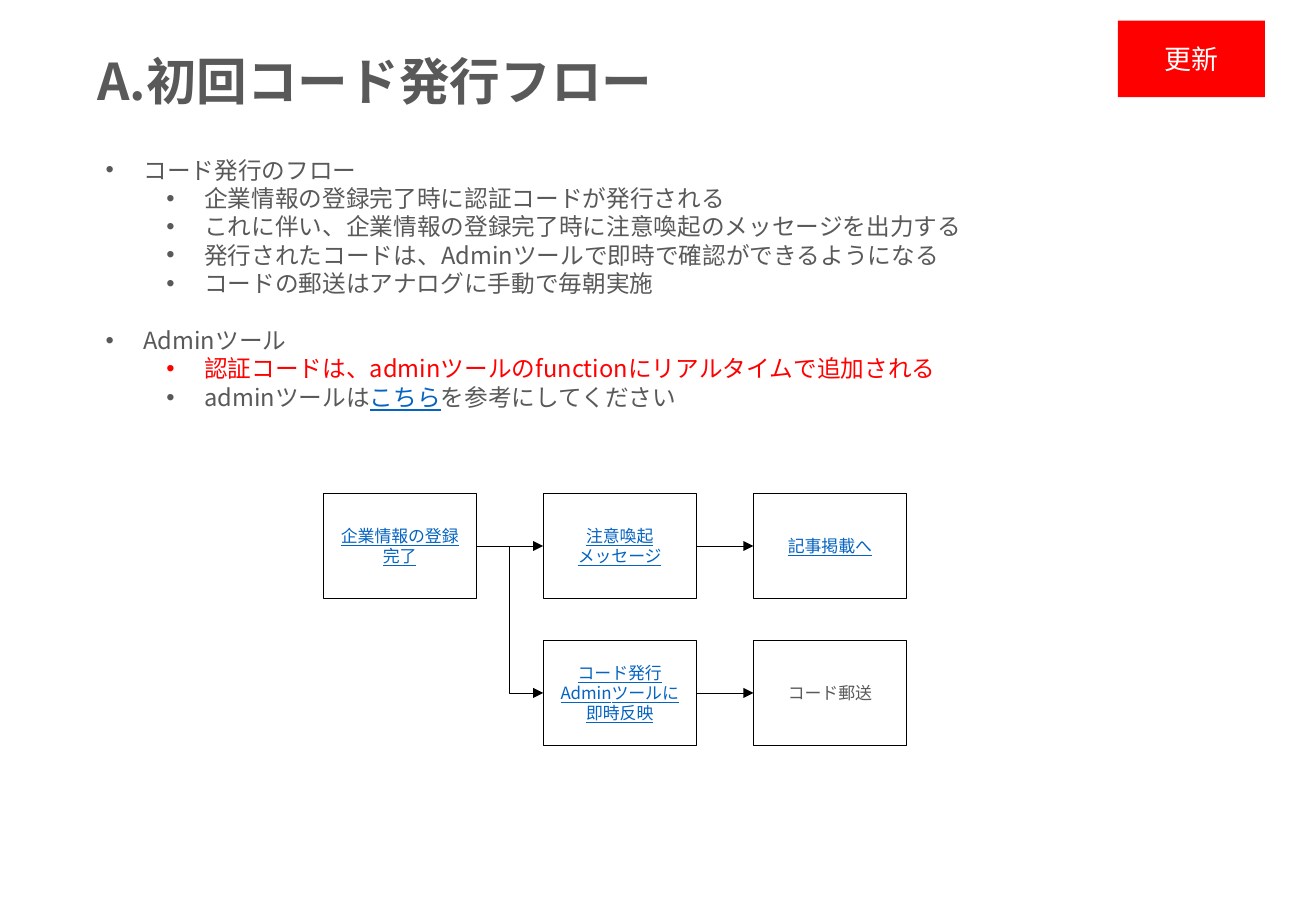
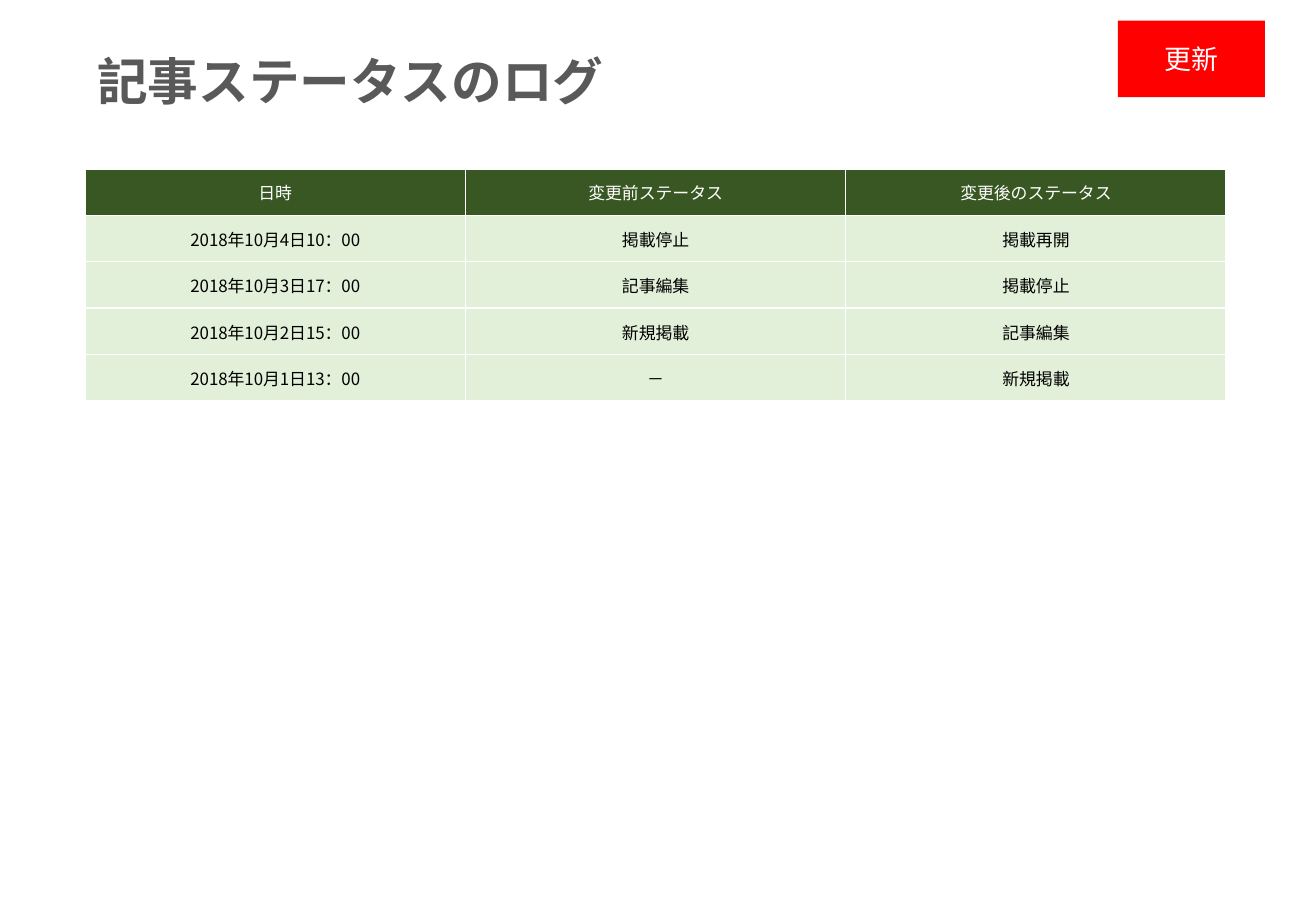
from lxml import etree
from pptx import Presentation
from pptx.dml.color import RGBColor
from pptx.enum.shapes import MSO_CONNECTOR, MSO_SHAPE
from pptx.enum.text import MSO_ANCHOR, MSO_AUTO_SIZE, PP_ALIGN
from pptx.oxml.ns import qn
from pptx.util import Inches, Pt

RECTANGLE = MSO_SHAPE.RECTANGLE
STRAIGHT, ELBOW = MSO_CONNECTOR.STRAIGHT, MSO_CONNECTOR.ELBOW
TOP, MIDDLE = MSO_ANCHOR.TOP, MSO_ANCHOR.MIDDLE
LEFT, CENTER = PP_ALIGN.LEFT, PP_ALIGN.CENTER
LEFT_SITE, RIGHT_SITE = 1, 3

FONT = "Noto Sans CJK JP"
COLORS = {
    "text": "595959", "link": "0563C1", "alert": "FF0000", "line": "000000",
    "white": "FFFFFF", "header": "385723", "row": "E2F0D9", "cell": "000000",
}

# Content
FLOW_TITLE = "A.初回コード発行フロー"
LOG_TITLE = "記事ステータスのログ"
BADGE = "更新"
# Each heading has its sub-items; a sub-item is a list of (text, colour) runs
BULLETS = [
    ("コード発行のフロー", [
        [("企業情報の登録完了時に認証コードが発行される", "text")],
        [("これに伴い、企業情報の登録完了時に注意喚起のメッセージを出力する", "text")],
        [("発行されたコードは、Adminツールで即時で確認ができるようになる", "text")],
        [("コードの郵送はアナログに手動で毎朝実施", "text")],
    ]),
    ("Adminツール", [
        [("認証コードは、adminツールのfunctionにリアルタイムで追加される", "alert")],
        [("adminツールは", "text"), ("こちら", "link"), ("を参考にしてください", "text")],
    ]),
]
# name: (column, row, lines, colour)
STEPS = {
    "register": (0, 0, ["企業情報の登録完了"], "link"),
    "warning": (1, 0, ["注意喚起", "メッセージ"], "link"),
    "publish": (2, 0, ["記事掲載へ"], "link"),
    "issue": (1, 1, ["コード発行", "Adminツールに即時反映"], "link"),
    "mail": (2, 1, ["コード郵送"], "text"),
}
ARROWS = [
    ("register", "warning", STRAIGHT), ("warning", "publish", STRAIGHT),
    ("issue", "mail", STRAIGHT), ("register", "issue", ELBOW),
]
LOG = [
    ("日時", "変更前ステータス", "変更後のステータス"),
    ("2018年10月4日10：00", "掲載停止", "掲載再開"),
    ("2018年10月3日17：00", "記事編集", "掲載停止"),
    ("2018年10月2日15：00", "新規掲載", "記事編集"),
    ("2018年10月1日13：00", "－", "新規掲載"),
]

# Layout, in inches
TITLE_AREA = (0.7, 0.36, 9.39, 0.61)
BADGE_AREA = (9.2, 0.17, 1.21, 0.63)
BODY_AREA = (0.77, 1.23, 8.66, 2.46)
TABLE_AREA = (0.7, 1.39, 9.39, 1.91)
STEP_COLUMNS, STEP_ROWS = (2.66, 4.47, 6.2), (4.06, 5.27)
STEP_WIDTH, STEP_HEIGHT = 1.26, 0.87
BULLET_INDENT, LEVEL_INDENT = 0.31, 0.5


def color(name):
    return RGBColor.from_string(COLORS[name])


def inches(area):
    return [Inches(value) for value in area]


def place(shape, area):
    shape.left, shape.top, shape.width, shape.height = inches(area)


def write_runs(paragraph, runs, size, bold=False, align=LEFT, before=0):
    """Fill a paragraph with (text, colour) runs; link runs are underlined."""
    paragraph.alignment = align
    paragraph.space_before = Pt(before)
    for text, color_name in runs:
        run = paragraph.add_run()
        run.text = text
        font = run.font
        font.name, font.size, font.bold = FONT, Pt(size), bold
        font.color.rgb = color(color_name)
        font.underline = color_name == "link"
        latin = run._r.rPr.find(qn("a:latin"))
        east_asian = etree.Element(qn("a:ea"), typeface=FONT)
        latin.addnext(east_asian)


def write_text(frame, lines, color_name="text", anchor=MIDDLE, **formatting):
    frame.word_wrap = True
    frame.auto_size = MSO_AUTO_SIZE.NONE
    frame.vertical_anchor = anchor
    for index, line in enumerate(lines):
        paragraph = frame.add_paragraph() if index else frame.paragraphs[0]
        write_runs(paragraph, [(line, color_name)], **formatting)


def add_box(slide, area, lines, fill=None, line=None, **formatting):
    box = slide.shapes.add_shape(RECTANGLE, *inches(area))
    box.shadow.inherit = False
    if fill:
        box.fill.solid()
        box.fill.fore_color.rgb = color(fill)
    else:
        box.fill.background()
    if line:
        box.line.color.rgb = color(line)
        box.line.width = Pt(0.5)
    else:
        box.line.fill.background()
    write_text(box.text_frame, lines, align=CENTER, **formatting)
    return box


def add_arrow(slide, source, target, kind):
    arrow = slide.shapes.add_connector(kind, 0, 0, 0, 0)
    arrow.begin_connect(source, RIGHT_SITE)
    arrow.end_connect(target, LEFT_SITE)
    arrow.line.color.rgb = color("line")
    arrow.line.width = Pt(0.5)
    etree.SubElement(arrow.line._get_or_add_ln(), qn("a:tailEnd"), type="triangle")
    etree.SubElement(arrow._element.spPr, qn("a:effectLst"))


def add_bullet(paragraph, level):
    paragraph.level = level
    properties = paragraph._p.get_or_add_pPr()
    margin = BULLET_INDENT + level * LEVEL_INDENT
    properties.set("marL", str(Inches(margin)))
    properties.set("indent", str(-Inches(BULLET_INDENT)))
    etree.SubElement(properties, qn("a:buFont"), typeface="Arial")
    etree.SubElement(properties, qn("a:buChar"), char="•")


def start_slide(presentation, layout_index, title):
    """Add a slide with the shared title and update badge."""
    slide = presentation.slides.add_slide(presentation.slide_layouts[layout_index])
    place(slide.shapes.title, TITLE_AREA)
    write_text(slide.shapes.title.text_frame, [title], anchor=TOP, size=30, bold=True)
    add_box(slide, BADGE_AREA, [BADGE], fill="alert", color_name="white", size=16)
    return slide


def build_flow_slide(presentation):
    slide = start_slide(presentation, 1, FLOW_TITLE)

    # Bulleted explanation
    body = slide.placeholders[1]
    place(body, BODY_AREA)
    frame = body.text_frame
    frame.word_wrap = True
    frame.auto_size = MSO_AUTO_SIZE.NONE
    frame.vertical_anchor = TOP
    for group, (heading, items) in enumerate(BULLETS):
        paragraph = frame.add_paragraph() if group else frame.paragraphs[0]
        add_bullet(paragraph, 0)
        write_runs(paragraph, [(heading, "text")], size=14, before=17 if group else 0)
        for runs in items:
            paragraph = frame.add_paragraph()
            add_bullet(paragraph, 1)
            write_runs(paragraph, runs, size=14)

    # Flow chart
    boxes = {}
    for name, (column, row, lines, color_name) in STEPS.items():
        area = (STEP_COLUMNS[column], STEP_ROWS[row], STEP_WIDTH, STEP_HEIGHT)
        boxes[name] = add_box(slide, area, lines, line="line",
                              color_name=color_name, size=10)
    for source, target, kind in ARROWS:
        add_arrow(slide, boxes[source], boxes[target], kind)


def format_cell(cell, text, fill, color_name):
    cell.margin_left = cell.margin_right = cell.margin_top = Inches(0.01)
    cell.margin_bottom = 0
    cell.vertical_anchor = MIDDLE
    properties = cell._tc.get_or_add_tcPr()
    for side in ("lnL", "lnR", "lnT", "lnB"):
        border = etree.SubElement(properties, qn("a:" + side), w=str(Pt(1)))
        solid = etree.SubElement(border, qn("a:solidFill"))
        etree.SubElement(solid, qn("a:srgbClr"), val=COLORS["white"])
    cell.fill.solid()
    cell.fill.fore_color.rgb = color(fill)
    write_runs(cell.text_frame.paragraphs[0], [(text, color_name)],
               size=10, align=CENTER)


def build_log_slide(presentation):
    slide = start_slide(presentation, 5, LOG_TITLE)
    table = slide.shapes.add_table(len(LOG), len(LOG[0]), *inches(TABLE_AREA)).table
    for row, texts in enumerate(LOG):
        fill, color_name = ("row", "cell") if row else ("header", "white")
        for column, text in enumerate(texts):
            format_cell(table.cell(row, column), text, fill, color_name)


def main():
    presentation = Presentation()
    presentation.slide_width, presentation.slide_height = Inches(10.83), Inches(7.5)
    build_flow_slide(presentation)
    build_log_slide(presentation)
    presentation.save("out.pptx")


if __name__ == "__main__":
    main()
